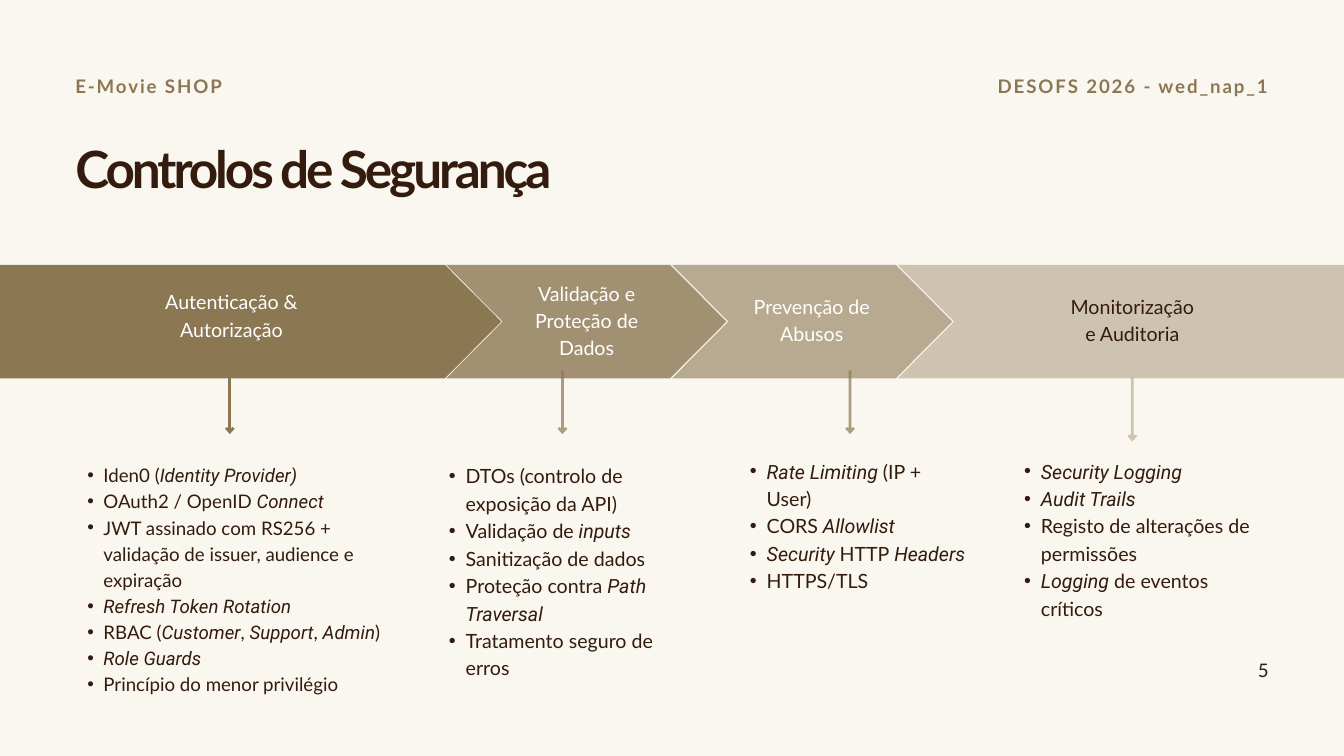
from dataclasses import dataclass
from typing import Optional

import lxml.etree
import pptx
import pptx.dml.color
import pptx.enum.shapes
import pptx.enum.text
import pptx.oxml.ns
import pptx.util
from pptx.util import Inches

COLORS = {"cream": "FAF7F0", "gold": "8C7753", "brown": "331B0D", "white": "FFFFFF"}
ALIGN = pptx.enum.text.PP_ALIGN
BAND_TOP, BAND_HEIGHT, TIP_DEPTH = 3.94, 1.69, 0.84
ARROW_LENGTH = 0.95
Box = tuple[float, float, float, float]


@dataclass
class TextStyle:
    size: float = 21
    color: str = "brown"
    bold: bool = False
    spacing: float = 0
    line_height: float = 29.4
    align: ALIGN = ALIGN.LEFT
    bullet_indent: Optional[float] = None


@dataclass
class Stage:
    label: str
    label_box: Box
    label_color: str
    band_left: float
    band_width: float
    band_opacity: int
    notched: bool
    arrow_start: tuple[float, float]
    arrow_opacity: int
    bullet_box: Box
    bullet_style: TextStyle
    bullets: list[str]  # asterisks enclose italic words


HEADER = dict(size=20, color="gold", bold=True, spacing=2, line_height=20)
BULLETS = TextStyle(bullet_indent=0.25)
SMALL_BULLETS = TextStyle(size=20, line_height=28, bullet_indent=0.24)

STAGES = [
    Stage("Autenticação & Autorização", (1.91, 4.26, 3.07, 0.81), "white",
          0, 7.46, 100, False, (3.42, 5.51), 100,
          (1.06, 6.85, 4.76, 3.85), SMALL_BULLETS,
          ["Iden0 (*Identity Provider)*",
           "OAuth2 / OpenID *Connect*",
           "JWT assinado com RS256 + validação de issuer, audience e expiração",
           "*Refresh Token Rotation*",
           "RBAC (*Customer*, *Support*, *Admin*)",
           "*Role Guards*",
           "Princípio do menor privilégio"]),
    Stage("Validação e Proteção de Dados", (7.73, 4.13, 2, 1.21), "white",
          6.64, 4.17, 80, True, (8.37, 5.51), 70,
          (6.43, 6.85, 3.88, 3.65), BULLETS,
          ["DTOs (controlo de exposição da API)",
           "Validação de* inputs*",
           "Sanitização de dados",
           "Proteção contra *Path Traversal*",
           "Tratamento seguro de erros"]),
    Stage("Prevenção de Abusos", (11.08, 4.33, 2, 0.81), "white",
          10, 4.17, 60, True, (12.65, 5.51), 70,
          (10.91, 6.78, 3.48, 2.84), BULLETS,
          ["*Rate Limiting *(IP + User)",
           "CORS* Allowlist*",
           "*Security *HTTP* Headers*",
           "HTTPS/TLS"]),
    Stage("Monitorização e Auditoria", (15.85, 4.33, 2, 0.81), "brown",
          13.36, 8, 40, True, (16.85, 5.62), 40,
          (14.99, 6.78, 3.75, 2.43), BULLETS,
          ["*Security Logging*",
           "*Audit Trails*",
           "Registo de alterações de permissões",
           "*Logging* de eventos críticos"]),
]


def rgb(name: str) -> pptx.dml.color.RGBColor:
    return pptx.dml.color.RGBColor.from_string(COLORS[name])


def add_element(parent, tag: str, **attributes: str):
    return lxml.etree.SubElement(parent, pptx.oxml.ns.qn(tag), **attributes)


def set_opacity(shape, percent: int) -> None:
    """Make the shape's first explicit colour (fill or line) translucent."""
    if percent < 100:
        color = next(shape._element.spPr.iter(pptx.oxml.ns.qn("a:srgbClr")))
        add_element(color, "a:alpha", val=str(percent * 1000))


def add_bullet(paragraph, indent: float) -> None:
    properties = paragraph._p.get_or_add_pPr()
    properties.set("marL", str(Inches(2 * indent)))
    properties.set("indent", str(-Inches(indent)))
    add_element(properties, "a:buFont", typeface="Arial")
    add_element(properties, "a:buChar", char="•")


def add_text(slide, box: Box, lines: list[str], style: TextStyle) -> None:
    """Write one paragraph per line, with words between asterisks in italics."""
    text_box = slide.shapes.add_textbox(*map(Inches, box))
    frame = text_box.text_frame
    frame.word_wrap = True
    frame.auto_size = pptx.enum.text.MSO_AUTO_SIZE.SHAPE_TO_FIT_TEXT
    frame.margin_left = frame.margin_right = frame.margin_top = frame.margin_bottom = 0
    for index, line in enumerate(lines):
        paragraph = frame.add_paragraph() if index else frame.paragraphs[0]
        if style.bullet_indent:
            paragraph.level = 1
            add_bullet(paragraph, style.bullet_indent)
        paragraph.alignment = style.align
        paragraph.line_spacing = pptx.util.Pt(style.line_height)
        for position, words in enumerate(line.split("*")):
            if not words:
                continue
            italic = position % 2 == 1
            run = paragraph.add_run()
            run.text = words
            run.font.name = "Roboto" if italic else "Lato"
            run.font.size = pptx.util.Pt(style.size)
            run.font.bold = style.bold
            run.font.italic = italic
            run.font.color.rgb = rgb(style.color)
            if style.spacing:
                run._r.get_or_add_rPr().set("spc", str(round(style.spacing * 100)))


def add_band(slide, stage: Stage) -> None:
    left, right = stage.band_left, stage.band_left + stage.band_width
    middle, bottom = BAND_TOP + BAND_HEIGHT / 2, BAND_TOP + BAND_HEIGHT
    shoulder = right - TIP_DEPTH
    points = [(shoulder, BAND_TOP), (right, middle), (shoulder, bottom), (left, bottom)]
    if stage.notched:
        points.append((left + TIP_DEPTH, middle))
    builder = slide.shapes.build_freeform(Inches(left), Inches(BAND_TOP))
    builder.add_line_segments([(Inches(x), Inches(y)) for x, y in points], close=True)
    band = builder.convert_to_shape()
    band.shadow.inherit = False
    band.fill.solid()
    band.fill.fore_color.rgb = rgb("gold")
    band.line.fill.background()
    set_opacity(band, stage.band_opacity)


def add_arrow(slide, stage: Stage) -> None:
    x, y = stage.arrow_start
    arrow = slide.shapes.add_connector(
        pptx.enum.shapes.MSO_CONNECTOR.STRAIGHT,
        Inches(x), Inches(y), Inches(x), Inches(y + ARROW_LENGTH))
    arrow.line.color.rgb = rgb("gold")
    arrow.line.width = pptx.util.Pt(3)
    set_opacity(arrow, stage.arrow_opacity)
    add_element(arrow.line._get_or_add_ln(), "a:tailEnd", type="arrow", w="med", len="sm")
    add_element(arrow._element.spPr, "a:effectLst")


def main() -> None:
    presentation = pptx.Presentation()
    presentation.slide_width, presentation.slide_height = Inches(20), Inches(11.25)
    slide = presentation.slides.add_slide(presentation.slide_layouts[6])
    slide.background.fill.solid()
    slide.background.fill.fore_color.rgb = rgb("cream")

    add_text(slide, (1.12, 1.17, 3.11, 0.28), ["E-Movie SHOP"], TextStyle(**HEADER))
    add_text(slide, (14.16, 1.17, 4.71, 0.28), ["DESOFS 2026 - wed_nap_1"],
             TextStyle(**HEADER, align=ALIGN.RIGHT))
    add_text(slide, (1.12, 2.19, 8.88, 0.8), ["Controlos de Segurança"],
             TextStyle(size=55, bold=True, spacing=-3.3, line_height=55))
    add_text(slide, (13.89, 9.75, 4.99, 0.37), ["5"],
             TextStyle(size=20, line_height=28, align=ALIGN.RIGHT))

    for stage in STAGES:
        add_band(slide, stage)
        add_text(slide, stage.label_box, [stage.label],
                 TextStyle(color=stage.label_color, align=ALIGN.CENTER))
        add_arrow(slide, stage)
        add_text(slide, stage.bullet_box, stage.bullets, stage.bullet_style)

    presentation.save("out.pptx")


if __name__ == "__main__":
    main()
